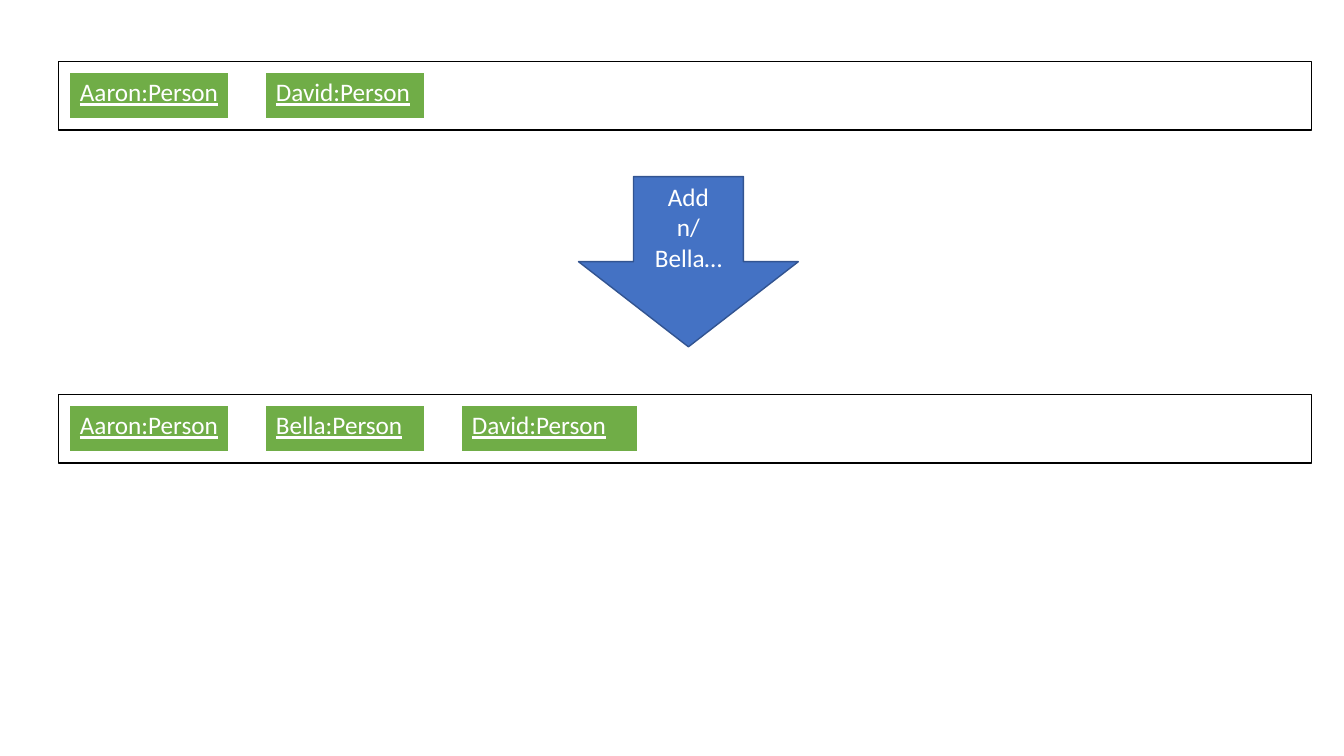
import pptx
import pptx.util
import pptx.dml.color
import pptx.enum.shapes
import pptx.enum.text

Cm, Pt = pptx.util.Cm, pptx.util.Pt
RGBColor = pptx.dml.color.RGBColor
MSO_SHAPE = pptx.enum.shapes.MSO_SHAPE

BLACK = RGBColor(0x00, 0x00, 0x00)
WHITE = RGBColor(0xFF, 0xFF, 0xFF)
GREEN = RGBColor(0x70, 0xAD, 0x47)
BLUE = RGBColor(0x44, 0x72, 0xC4)
DARK_BLUE = RGBColor(0x32, 0x54, 0x91)

CARD_W, CARD_STEP, PAD = 3.99, 4.94, 0.28


def style_text(p, underline=False):
    p.font.name = "Calibri"
    p.font.size = Pt(18)
    p.font.bold = False
    p.font.underline = underline
    p.font.color.rgb = WHITE


def add_outlined(s, kind, x, y, w, h, line, fill=None):
    sp = s.shapes.add_shape(kind, Cm(x), Cm(y), Cm(w), Cm(h))
    sp.shadow.inherit = False
    sp.line.color.rgb = line
    sp.line.width = Pt(1)
    if fill is None:
        sp.fill.background()
    else:
        sp.fill.solid()
        sp.fill.fore_color.rgb = fill
    return sp


def add_card(s, text, x, y, w, h):
    tbl = s.shapes.add_table(1, 1, Cm(x), Cm(y), Cm(w), Cm(h)).table
    tbl.first_row = False
    tbl.horz_banding = False
    cell = tbl.cell(0, 0)
    cell.fill.solid()
    cell.fill.fore_color.rgb = GREEN
    cell.text = text
    style_text(cell.text_frame.paragraphs[0], underline=True)


def add_person_list(s, people, x, y, w, h):
    """Frame with a row of evenly spaced (name, width) person cards."""
    add_outlined(s, MSO_SHAPE.RECTANGLE, x, y, w, h, BLACK)
    for i, (name, card_w) in enumerate(people):
        add_card(s, f"{name}:Person", x + PAD + i * CARD_STEP, y + PAD,
                 card_w, h - 2 * PAD)


def add_command_arrow(s, lines, x, y, w, h):
    sp = add_outlined(s, MSO_SHAPE.DOWN_ARROW, x, y, w, h, DARK_BLUE, BLUE)
    tf = sp.text_frame
    tf.word_wrap = True
    tf.vertical_anchor = pptx.enum.text.MSO_ANCHOR.TOP
    tf.text = "\n".join(lines)
    for p in tf.paragraphs:
        p.alignment = pptx.enum.text.PP_ALIGN.CENTER
        style_text(p)


prs = pptx.Presentation()
prs.slide_width, prs.slide_height = Cm(33.87), Cm(19.05)
s = prs.slides.add_slide(prs.slide_layouts[6])

# List before the command
add_person_list(s, [("Aaron", CARD_W), ("David", CARD_W)],
                1.48, 1.55, 31.57, 1.73)

# Command
add_command_arrow(s, ["Add", "n/Bella…"], 14.58, 4.45, 5.54, 4.29)

# List after the command
add_person_list(s, [("Aaron", CARD_W), ("Bella", CARD_W), ("David", 4.42)],
                1.48, 9.94, 31.57, 1.73)

prs.save("out.pptx")
